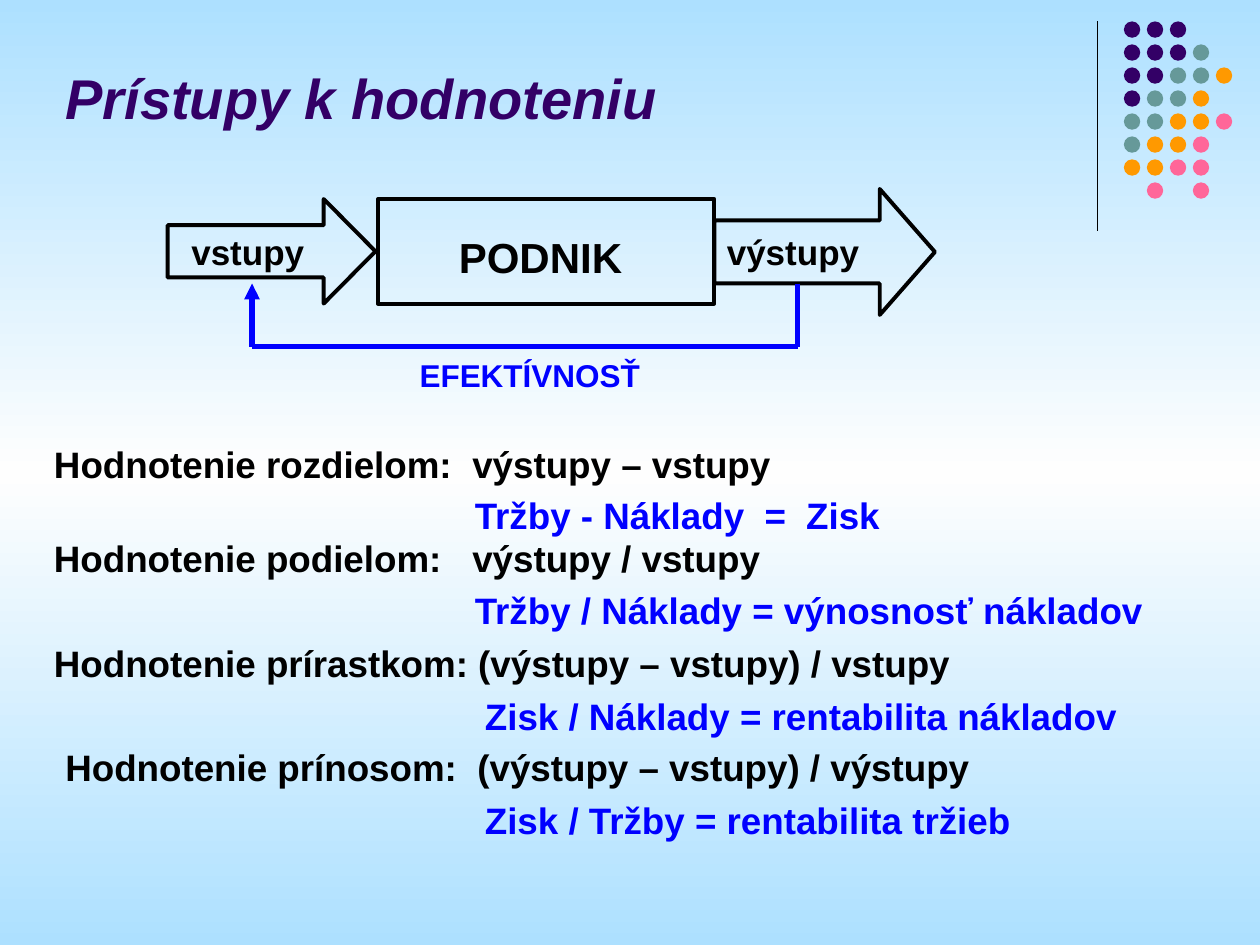
from copy import deepcopy

from lxml import etree
from pptx import Presentation
from pptx.dml.color import RGBColor
from pptx.enum import shapes, text
from pptx.oxml.ns import qn
from pptx.util import Inches, Pt

COLORS = {
    "sky": "ADE0FF", "white": "FEFEFE", "black": "000000", "blue": "0000FF",
    "purple": "330066", "teal": "669999", "orange": "FF9900", "pink": "FF6699",
}
DOT_COLORS = {"P": "purple", "T": "teal", "O": "orange", "K": "pink"}
DOT_ROWS = ["PPP", "PPPT", "PPTTO", "PTTO", "TTOOK", "TOOK", "OOKK", " K K"]

# left, top, width, text, colour, tab stops
FORMULAS = [
    (0.33, 3.42, 6.42, "Hodnotenie rozdielom:\tvýstupy – vstupy", "black", [3.32]),
    (3.67, 3.83, 3.67, "Tržby - Náklady\t=\tZisk", "blue", [2.3, 2.63]),
    (0.33, 4.17, 9.33, "Hodnotenie podielom:\tvýstupy / vstupy", "black", [3.32]),
    (3.67, 4.58, 5.83, "Tržby / Náklady = výnosnosť nákladov", "blue", []),
    (0.33, 5, 9.17, "Hodnotenie prírastkom: (výstupy – vstupy) / vstupy", "black", []),
    (3.75, 5.42, 5.25, "Zisk / Náklady = rentabilita nákladov", "blue", []),
    (0.42, 5.83, 8.75, "Hodnotenie prínosom:\t(výstupy – vstupy) / výstupy", "black", [3.27]),
    (3.75, 6.25, 5, "Zisk / Tržby = rentabilita tržieb", "blue", []),
]


def rgb(color):
    return RGBColor.from_string(COLORS[color])


class SlideBuilder:
    font_name = "Arial"

    def __init__(self, slide):
        self.slide = slide

    def background(self, edge, middle):
        """Vertical gradient that is the same at top and bottom."""
        fill = self.slide.background.fill
        fill.gradient()
        fill.gradient_angle = 90
        for stop, position in zip(fill.gradient_stops, (0, 1)):
            stop.color.rgb = rgb(edge)
            stop.position = position
        stop_list = next(self.slide.element.iter(qn("a:gsLst")))
        stop_list.insert(1, deepcopy(stop_list[0]))
        center = fill.gradient_stops[1]
        center.color.rgb = rgb(middle)
        center.position = 0.5

    def style(self, paragraph, size, color):
        font = paragraph.font
        font.name, font.size, font.bold = self.font_name, Pt(size), True
        font.color.rgb = rgb(color)

    def title(self, left, top, width, height, words):
        title = self.slide.shapes.title
        title.left, title.top = Inches(left), Inches(top)
        title.width, title.height = Inches(width), Inches(height)
        frame = title.text_frame
        frame.text = words
        frame.auto_size = text.MSO_AUTO_SIZE.NONE
        frame.vertical_anchor = text.MSO_ANCHOR.BOTTOM
        paragraph = frame.paragraphs[0]
        paragraph.alignment = text.PP_ALIGN.LEFT
        self.style(paragraph, 32, "purple")
        paragraph.font.italic = True

    def label(self, left, top, width, height, words, size, color="black",
              align=text.PP_ALIGN.LEFT, tabs=()):
        box = self.slide.shapes.add_textbox(
            Inches(left), Inches(top), Inches(width), Inches(height))
        frame = box.text_frame
        frame.word_wrap = True
        frame.auto_size = text.MSO_AUTO_SIZE.SHAPE_TO_FIT_TEXT
        paragraph = frame.paragraphs[0]
        paragraph.text = words
        paragraph.alignment = align
        paragraph.line_spacing = 1.1
        paragraph.space_before = Pt(round(size * 0.625, 1))
        self.style(paragraph, size, color)
        if tabs:
            tab_list = etree.Element(qn("a:tabLst"))
            for position in tabs:
                etree.SubElement(tab_list, qn("a:tab"), pos=str(Inches(position)), algn="l")
            properties = paragraph._p.get_or_add_pPr()
            properties.find(qn("a:defRPr")).addprevious(tab_list)

    def shape(self, kind, left, top, width, height, fill=None, line=None):
        shape = self.slide.shapes.add_shape(
            kind, Inches(left), Inches(top), Inches(width), Inches(height))
        shape.shadow.inherit = False
        if fill:
            shape.fill.solid()
            shape.fill.fore_color.rgb = rgb(fill)
        else:
            shape.fill.background()
        if line:
            shape.line.color.rgb = rgb(line)
            shape.line.width = Pt(2.25)
        else:
            shape.line.fill.background()
        return shape

    def arrow(self, left, top, width, height, head):
        arrow = self.shape(shapes.MSO_SHAPE.RIGHT_ARROW, left, top, width, height, line="black")
        arrow.adjustments[0], arrow.adjustments[1] = 0.5, head

    def line(self, start, end, color, width, arrowhead=False):
        connector = self.slide.shapes.add_connector(
            shapes.MSO_CONNECTOR.STRAIGHT, *map(Inches, start + end))
        connector.line.color.rgb = rgb(color)
        connector.line.width = Pt(width)
        if arrowhead:
            etree.SubElement(connector.line._get_or_add_ln(), qn("a:tailEnd"), type="triangle")
        etree.SubElement(connector._element.spPr, qn("a:effectLst"))

    def dots(self, left, top, pitch, size):
        for row, codes in enumerate(DOT_ROWS):
            for column, code in enumerate(codes):
                if code in DOT_COLORS:
                    self.shape(shapes.MSO_SHAPE.OVAL, left + column * pitch,
                               top + row * pitch, size, size, fill=DOT_COLORS[code])


def main():
    presentation = Presentation()
    presentation.slide_width, presentation.slide_height = Inches(10), Inches(7.5)
    builder = SlideBuilder(presentation.slides.add_slide(presentation.slide_layouts[5]))
    center = text.PP_ALIGN.CENTER

    builder.background("sky", "white")
    builder.line((8.71, 0.17), (8.71, 1.83), "black", 0.75)
    builder.dots(8.92, 0.17, pitch=0.73 / 4, size=0.13)
    builder.title(0.42, 0.43, 8.33, 0.66, "Prístupy k hodnoteniu")

    builder.shape(shapes.MSO_SHAPE.RECTANGLE, 3, 1.58, 2.67, 0.83, line="black")
    builder.label(3.25, 1.75, 2.08, 0.54, "PODNIK", 24, align=center)
    builder.arrow(1.33, 1.58, 1.65, 0.83, head=0.495)
    builder.arrow(5.67, 1.5, 1.75, 1, head=0.438)
    builder.label(1.42, 1.75, 1.5, 0.47, "vstupy", 20)
    builder.label(5.67, 1.75, 1.33, 0.47, "výstupy", 20)

    feedback = [(6.33, 2.25), (6.33, 2.75), (2, 2.75), (2, 2.25)]
    for start, end in zip(feedback, feedback[1:]):
        builder.line(start, end, "blue", 3, arrowhead=end == feedback[-1])
    builder.label(2.37, 2.75, 3.67, 0.43, "EFEKTÍVNOSŤ", 18, "blue", center)

    for left, top, width, words, color, tabs in FORMULAS:
        builder.label(left, top, width, 0.49, words, 21, color, tabs=tabs)

    presentation.save("out.pptx")


if __name__ == "__main__":
    main()
